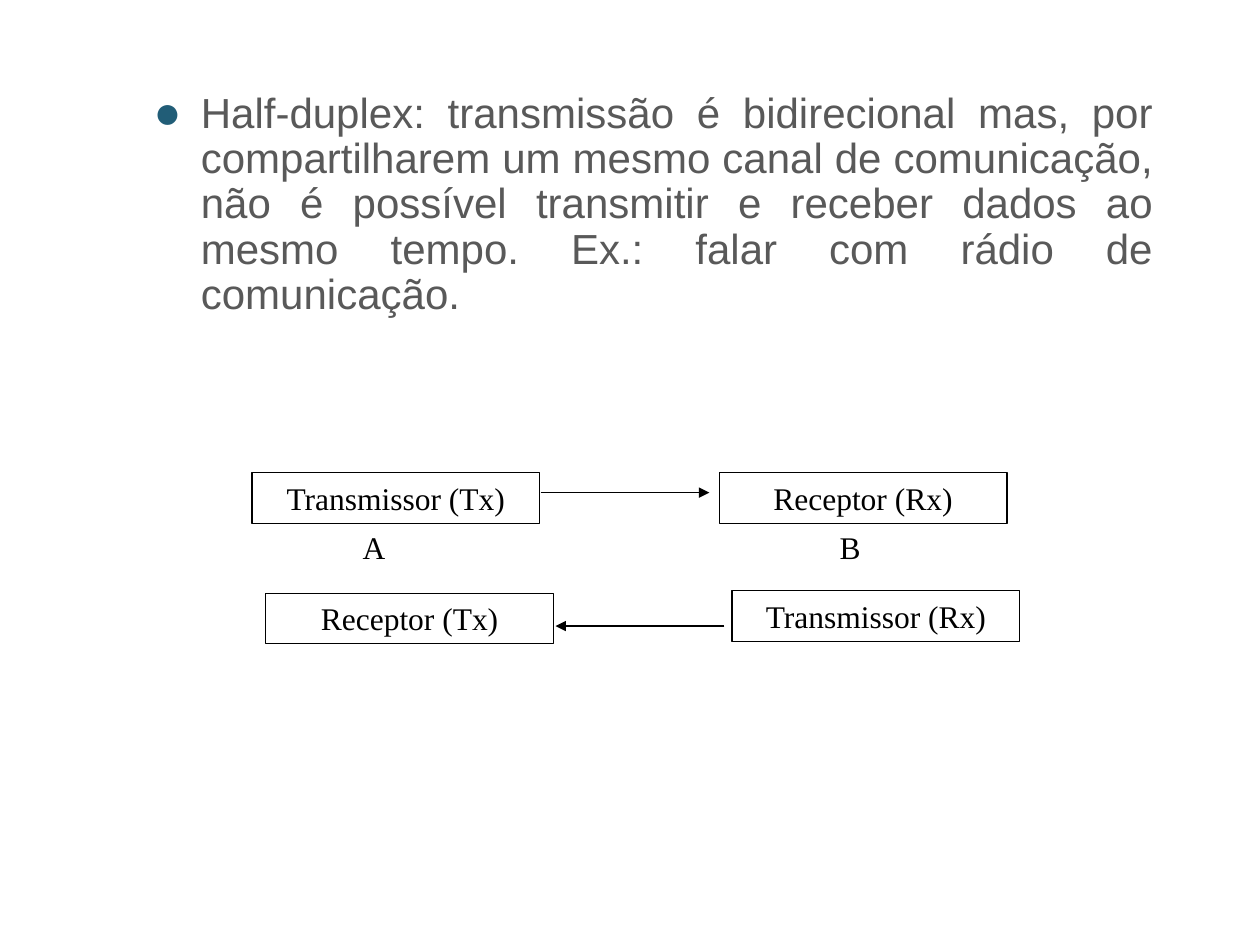
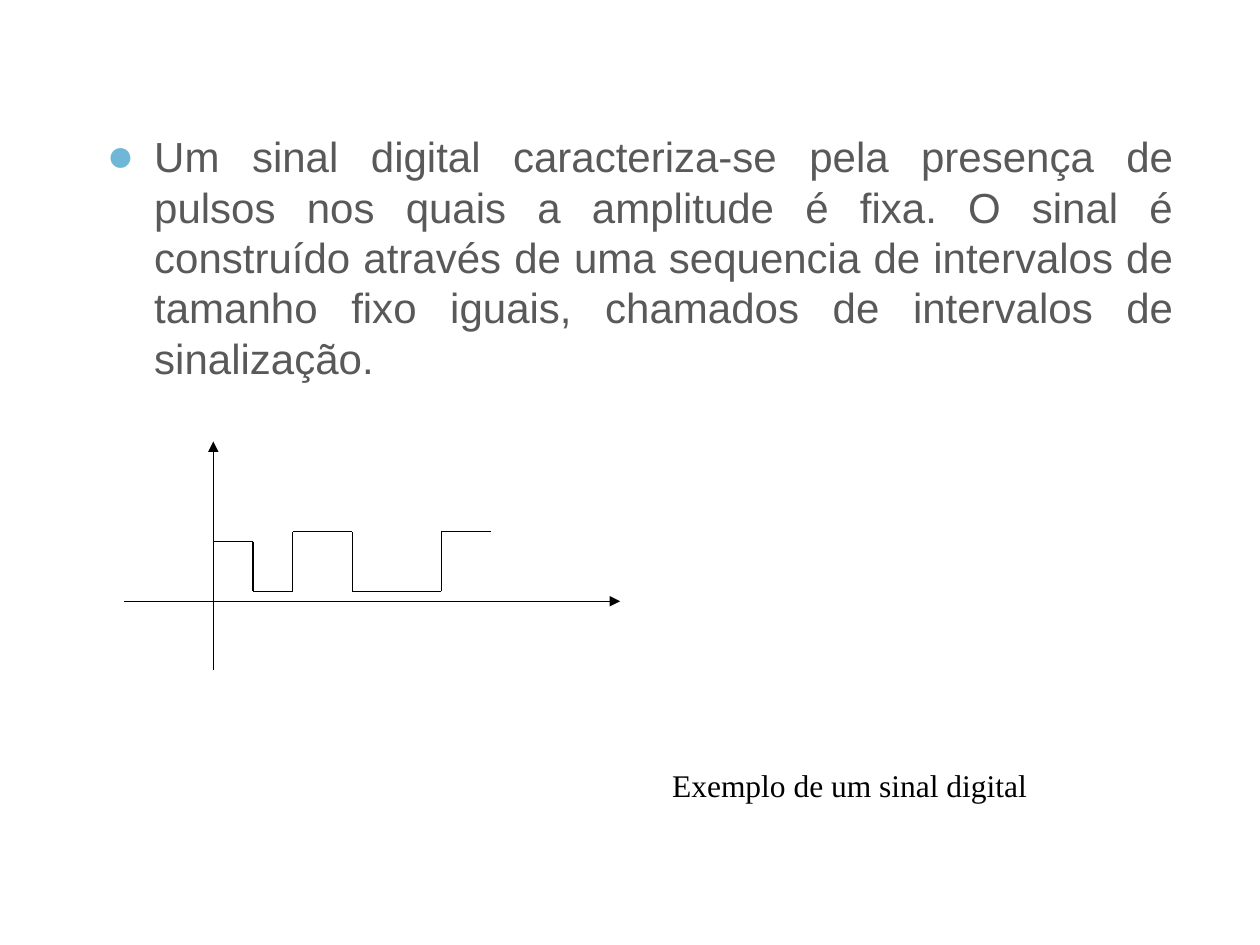
from itertools import pairwise

from lxml.etree import SubElement
from pptx import Presentation
from pptx.dml.color import RGBColor
from pptx.enum.shapes import MSO_CONNECTOR, MSO_SHAPE
from pptx.enum.text import MSO_ANCHOR, PP_ALIGN
from pptx.oxml.ns import qn
from pptx.util import Cm, Pt

BLACK = "000000"
BODY_GREY = "595959"
LINE_WIDTH = Pt(0.75)
LABEL_HEIGHT = 1.02
rgb = RGBColor.from_string


def write(shape, text, font="Times New Roman", size=18, color=BLACK,
          align=PP_ALIGN.CENTER, space_before=11.2):
    """Fill a shape with one formatted paragraph and return the paragraph."""
    frame = shape.text_frame
    frame.word_wrap = True
    frame.vertical_anchor = MSO_ANCHOR.TOP
    frame.text = text
    paragraph = frame.paragraphs[0]
    paragraph.alignment = align
    paragraph.space_before = Pt(space_before)
    run = paragraph.runs[0]
    run.font.name = font
    run.font.size = Pt(size)
    run.font.color.rgb = rgb(color)
    return paragraph


def add_line(slide, start, end, arrow=False):
    line = slide.shapes.add_connector(
        MSO_CONNECTOR.STRAIGHT, *map(Cm, (*start, *end)))
    line.line.width = LINE_WIDTH
    line.line.color.rgb = rgb(BLACK)
    if arrow:
        SubElement(line.line._get_or_add_ln(), qn("a:tailEnd"), type="triangle")
    SubElement(line._element.spPr, qn("a:effectLst"))


prs = Presentation()
prs.slide_width = Cm(25.4)
prs.slide_height = Cm(19.05)
blank = prs.slide_layouts[6]

# Both slides open with one justified, bulleted definition
definitions = [
    ((1.9, 1.73, 21.59, 7.01), 1.9, 0.95, 0.9, 6, "215D77",
     "Half-duplex: transmissão é bidirecional mas, por compartilharem um mesmo "
     "canal de comunicação, não é possível transmitir e receber dados ao mesmo "
     "tempo. Ex.: falar com rádio de comunicação."),
    ((1.9, 2.51, 22, 10.41), 0.96, 0.96, 1, 20, "6FB7D7",
     "Um sinal digital caracteriza-se pela presença de pulsos nos quais a "
     "amplitude é fixa. O sinal é construído através de uma sequencia de "
     "intervalos de tamanho fixo iguais, chamados de intervalos de sinalização."),
]
slides = []
for box, margin, hanging, line_spacing, space_before, bullet_color, text in definitions:
    slide = prs.slides.add_slide(blank)
    slides.append(slide)
    definition = write(slide.shapes.add_textbox(*map(Cm, box)), text, "Arial", 24,
                       BODY_GREY, PP_ALIGN.JUSTIFY, space_before)
    definition.line_spacing = line_spacing
    properties = definition._p.get_or_add_pPr()
    properties.set("marL", str(Cm(margin)))
    properties.set("indent", str(-Cm(hanging)))
    SubElement(SubElement(properties, qn("a:buClr")), qn("a:srgbClr"), val=bullet_color)
    SubElement(properties, qn("a:buSzPct"), val="110000")
    SubElement(properties, qn("a:buFont"), typeface="Arial")
    SubElement(properties, qn("a:buChar"), char="●")
half_duplex, digital_signal = slides

# Half-duplex: stations A and B, one direction at a time
for left, top, role in [
    (5.08, 9.53, "Transmissor (Tx)"),
    (14.5, 9.53, "Receptor (Rx)"),
    (5.36, 11.96, "Receptor (Tx)"),
    (14.76, 11.91, "Transmissor (Rx)"),
]:
    station = half_duplex.shapes.add_shape(
        MSO_SHAPE.RECTANGLE, *map(Cm, (left, top, 5.8, LABEL_HEIGHT)))
    station.shadow.inherit = False
    station.fill.background()
    station.line.color.rgb = rgb(BLACK)
    station.line.width = LINE_WIDTH
    write(station, role)

for left, name in [(6.35, "A"), (15.95, "B")]:
    write(half_duplex.shapes.add_textbox(
        *map(Cm, (left, 10.52, 2.38, LABEL_HEIGHT))), name)

add_line(half_duplex, (10.9, 9.93), (14.3, 9.93), arrow=True)
add_line(half_duplex, (14.6, 12.62), (11.2, 12.62), arrow=True)

# Digital signal: axes, then the pulse train
add_line(digital_signal, (4.3, 13.5), (4.3, 8.9), arrow=True)
add_line(digital_signal, (2.5, 12.12), (12.5, 12.12), arrow=True)

low, first_high, high = 11.92, 10.92, 10.72
edges = [4.3, 5.1, 5.9, 7.1, 8.9, 9.9]
levels = [first_high, low, high, low, high]
pulse_points = []
for (start, end), level in zip(pairwise(edges), levels):
    pulse_points += [(start, level), (end, level)]
for start, end in pairwise(pulse_points):
    add_line(digital_signal, start, end)

write(digital_signal.shapes.add_textbox(*map(Cm, (13.3, 15.31, 9.4, LABEL_HEIGHT))),
      "Exemplo de um sinal digital", align=PP_ALIGN.LEFT)

prs.save("out.pptx")
